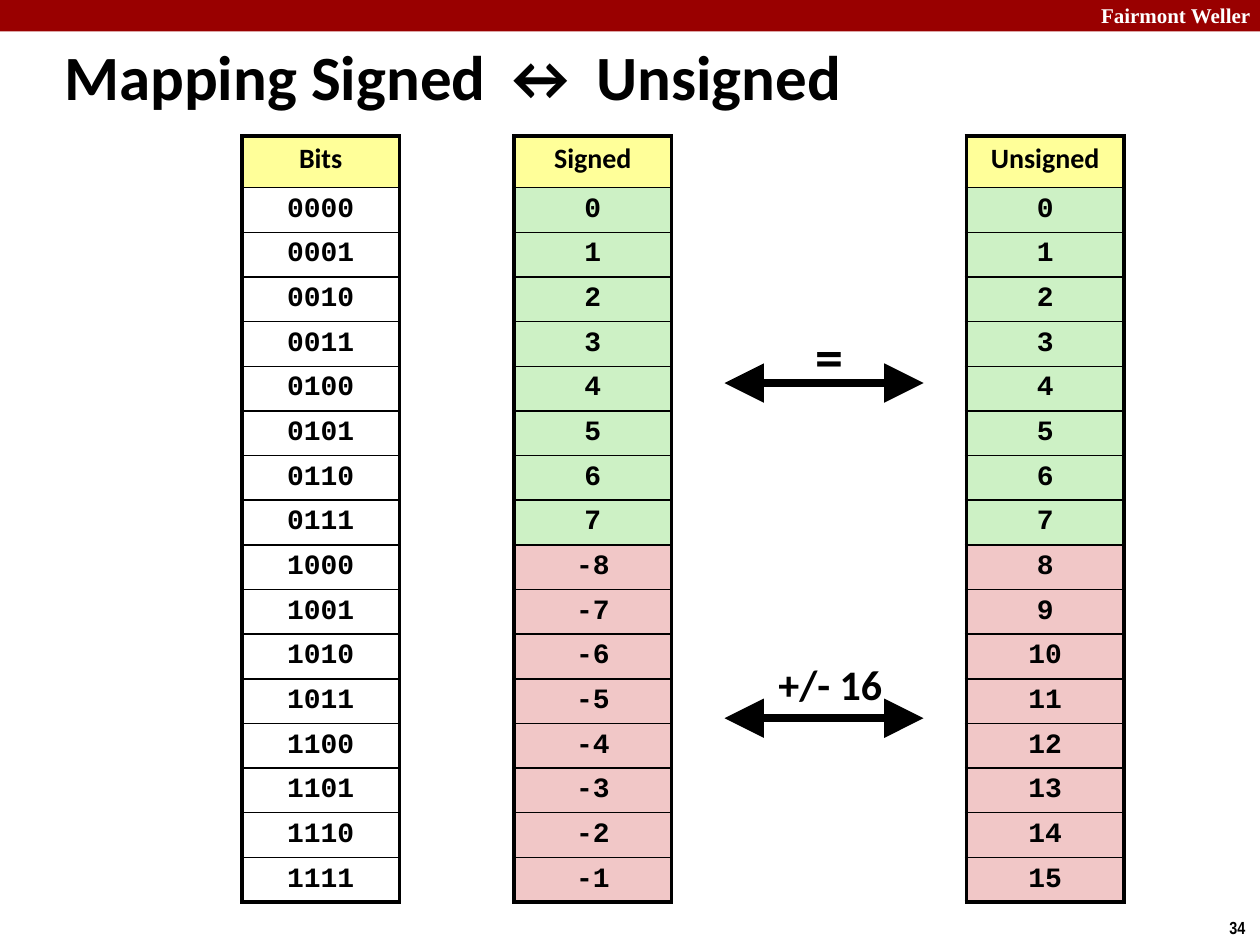
import pptx
import pptx.util
import pptx.dml.color
import pptx.enum.shapes
import pptx.enum.text
import pptx.oxml
import pptx.oxml.ns

Inches, Pt = pptx.util.Inches, pptx.util.Pt
RGBColor = pptx.dml.color.RGBColor
ALIGN = pptx.enum.text.PP_ALIGN
ANCHOR = pptx.enum.text.MSO_ANCHOR

BLACK = RGBColor(0x00, 0x00, 0x00)
WHITE = RGBColor(0xFF, 0xFF, 0xFF)
RED = RGBColor(0x99, 0x00, 0x00)
YELLOW = RGBColor(0xFF, 0xFF, 0x99)
GREEN = RGBColor(0xCD, 0xF1, 0xC5)
PINK = RGBColor(0xF1, 0xC7, 0xC7)


def write(frame, text, size=16, font="Calibri", color=BLACK, align=ALIGN.LEFT,
          spacing=None):
    para = frame.paragraphs[0]
    para.alignment = align
    if spacing:
        para.line_spacing = spacing
    span = para.add_run()
    span.text = text
    span.font.size = Pt(size)
    span.font.name = font
    span.font.bold = True
    span.font.color.rgb = color


class Page:
    body_font = "Calibri"
    code_font = "Courier New"
    thick, thin = 2.25, 1
    table_top, column_width = 1.08, 1.25
    header_height, table_height = 0.41, 6.08

    def __init__(self, deck):
        self.slide = deck.slides.add_slide(deck.slide_layouts[6])
        self.shapes = self.slide.shapes

    def bar(self, left, top, width, height, color):
        box = self.shapes.add_shape(
            pptx.enum.shapes.MSO_SHAPE.RECTANGLE,
            Inches(left), Inches(top), Inches(width), Inches(height))
        box.shadow.inherit = False
        box.fill.solid()
        box.fill.fore_color.rgb = color
        box.line.fill.background()

    def text(self, text, left, top, width, height, inset=(0.1, 0.05),
             wrap=False, anchor=ANCHOR.TOP, shapes=None, **style):
        box = (shapes or self.shapes).add_textbox(
            Inches(left), Inches(top), Inches(width), Inches(height))
        frame = box.text_frame
        frame.word_wrap = wrap
        frame.vertical_anchor = anchor
        frame.margin_left = frame.margin_right = Inches(inset[0])
        frame.margin_top = frame.margin_bottom = Inches(inset[1])
        write(frame, text, **style)

    def border(self, cell, side, width):
        cell._tc.get_or_add_tcPr().append(pptx.oxml.parse_xml(
            f'<a:ln{side} {pptx.oxml.ns.nsdecls("a")} w="{int(Pt(width))}">'
            f'<a:solidFill><a:srgbClr val="{BLACK}"/></a:solidFill></a:ln{side}>'))

    def column(self, left, title, values, fills):
        """Draw a one-column table with a header cell."""
        count = len(values) + 1
        table = self.shapes.add_table(
            count, 1, Inches(left), Inches(self.table_top),
            Inches(self.column_width), Inches(self.table_height)).table
        table.horz_banding = False
        table.first_row = False
        row_height = (self.table_height - self.header_height) / len(values)
        for index, (value, fill) in enumerate(zip([title, *values], [YELLOW, *fills])):
            header = index == 0
            table.rows[index].height = Inches(self.header_height if header else row_height)
            cell = table.cell(index, 0)
            cell.margin_left = cell.margin_right = Inches(0.05)
            cell.margin_top = cell.margin_bottom = Inches(0.05)
            self.border(cell, "L", self.thick)
            self.border(cell, "R", self.thick)
            self.border(cell, "T", self.thick if header else self.thin)
            self.border(cell, "B", self.thick if index == count - 1 else self.thin)
            if fill is None:
                cell.fill.background()
            else:
                cell.fill.solid()
                cell.fill.fore_color.rgb = fill
            write(cell.text_frame, str(value), align=ALIGN.CENTER, spacing=0.95,
                  font=self.body_font if header else self.code_font)

    def double_arrow(self, y, label, *place, **style):
        """Draw a labelled two-headed arrow as one group."""
        group = self.shapes.add_group_shape()
        line = group.shapes.add_connector(
            pptx.enum.shapes.MSO_CONNECTOR.STRAIGHT,
            Inches(7.33), Inches(y), Inches(5.75), Inches(y))
        line.line.width = Pt(4.5)
        line.line.color.rgb = BLACK
        outline = line.line._get_or_add_ln()
        for end in ("headEnd", "tailEnd"):
            outline.append(pptx.oxml.parse_xml(
                f'<a:{end} {pptx.oxml.ns.nsdecls("a")} type="triangle" w="lg" len="lg"/>'))
        line._element.spPr.append(pptx.oxml.parse_xml(
            f'<a:effectLst {pptx.oxml.ns.nsdecls("a")}/>'))
        self.text(label, *place, shapes=group.shapes, **style)


deck = pptx.Presentation()
deck.slide_width, deck.slide_height = Inches(10), Inches(7.5)
page = Page(deck)

# Header band, page number and title
page.bar(0, 0, 10, 0.25, RED)
page.text("Fairmont Weller", 8.64, -0.03, 1.43, 0.3, wrap=True,
          size=12, font="Times New Roman", color=WHITE)
page.text("34", 9.66, 7.23, 0.34, 0.27, size=10, font="Arial Narrow")
page.text("Mapping Signed \u2194 Unsigned", 0.44, 0.27, 7.46, 0.61,
          inset=(0.07, 0.03), size=36)

# Four-bit values in three readings
codes = range(16)
halves = [GREEN] * 8 + [PINK] * 8
page.column(4.08, "Signed", [n if n < 8 else n - 16 for n in codes], halves)
page.column(7.67, "Unsigned", codes, halves)
page.column(1.92, "Bits", [f"{n:04b}" for n in codes], [None] * 16)

# Relations between signed and unsigned
page.double_arrow(3.04, "=", 6.42, 2.5, 0.32, 0.64, inset=(0.05, 0.05),
                  size=32, align=ALIGN.CENTER)
page.double_arrow(5.7, "+/- 16", 6.08, 5.17, 1.1, 0.51,
                  anchor=ANCHOR.MIDDLE, size=24)

deck.save("out.pptx")
